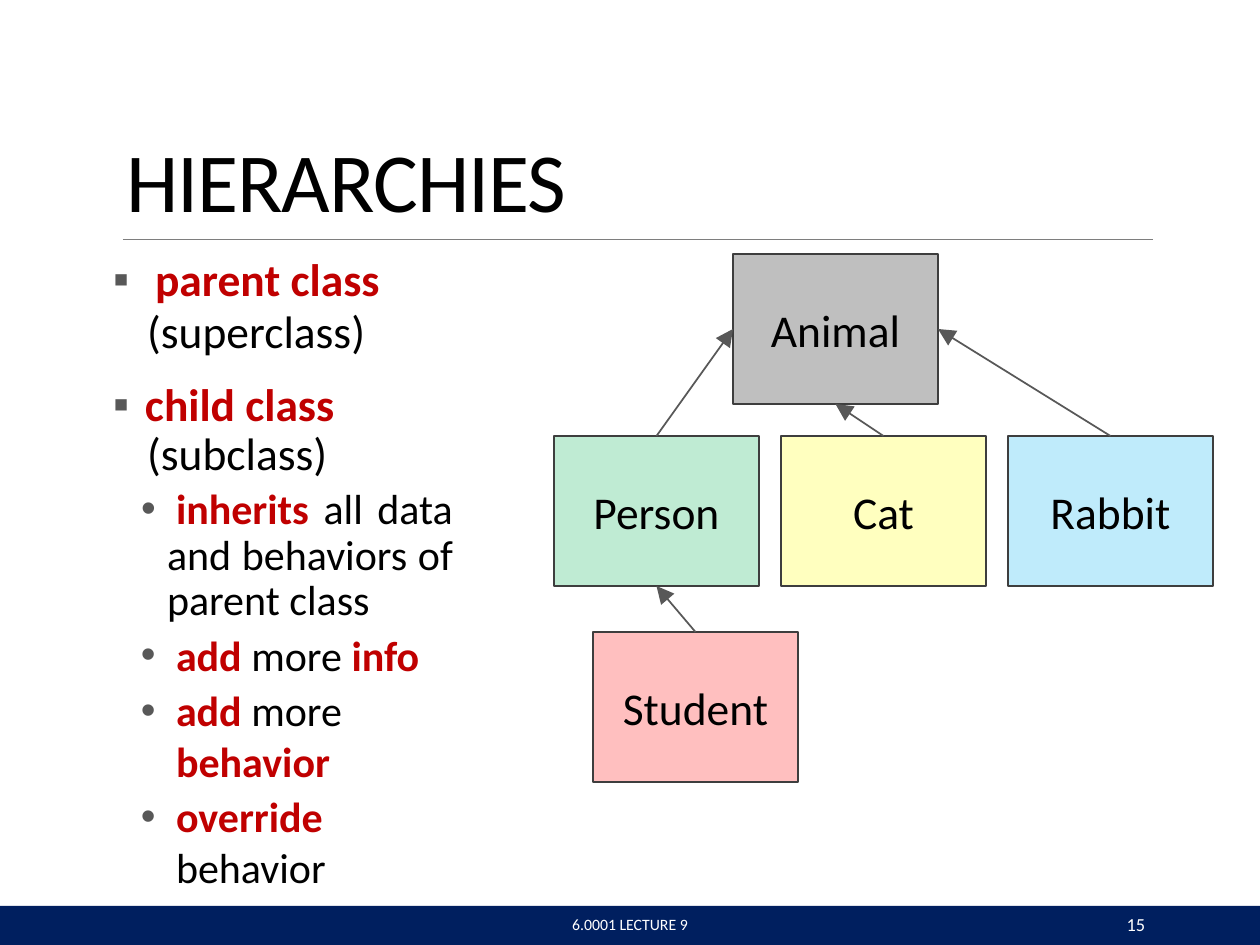
from lxml.etree import SubElement
from pptx import Presentation
from pptx.dml.color import RGBColor
from pptx.enum.shapes import MSO_CONNECTOR as CONNECTOR, MSO_SHAPE as SHAPE
from pptx.enum.text import MSO_ANCHOR as ANCHOR, MSO_AUTO_SIZE as AUTO_SIZE, PP_ALIGN as ALIGN
from pptx.oxml.ns import qn
from pptx.util import Emu, Pt

FONT = "Calibri"
BLACK, WHITE, RED, GREY = "000000", "FFFFFF", "C00000", "585858"
NAVY, RULE, OUTLINE = "001F5F", "7E7E7E", "3E3E3E"

# Paragraph formats: size and spacing in points, indents in px
MAIN = dict(size=26, level=0, bullet="▪", color=RED)
SUB = dict(size=24, level=1, bullet="•", left=64, hang=35, before=3)
PLAIN = dict(size=26, level=0, left=35, hang=0)
BODY = [
    ("*parent class*", dict(MAIN, left=43, hang=42, line=29.6)),
    ("(superclass)", dict(PLAIN, line=29.6)),
    ("*child class*", dict(MAIN, left=33, hang=32, before=10.8)),
    ("(subclass)", dict(PLAIN, line=28)),
    ("\t*inherits* all data and behaviors of parent class",
     dict(SUB, left=55, hang=26, tab=64, before=4.5, line=25.9, align=ALIGN.JUSTIFY)),
    ("*add* more *info*", SUB),
    ("*add* more *behavior*", SUB),
    ("*override* behavior", SUB),
]

# Class boxes: name -> left, top, fill
ROW_LEFT, ROW_TOP, PITCH = 0, 182, 227
CLASSES = {
    "Animal": (179, 0, "BFBFBF"),
    "Person": (ROW_LEFT, ROW_TOP, "BFEBD3"),
    "Cat": (ROW_LEFT + PITCH, ROW_TOP, "FFFFBF"),
    "Rabbit": (ROW_LEFT + 2 * PITCH, ROW_TOP, "BFEBFB"),
    "Student": (39, 378, "FFBFBF"),
}
TOP, LEFT, BOTTOM, RIGHT = range(4)  # connection sites of a rectangle
LINKS = [("Person", "Animal", LEFT), ("Cat", "Animal", BOTTOM),
         ("Rabbit", "Animal", RIGHT), ("Student", "Person", BOTTOM)]


def px(value):
    return Emu(round(value * 914400 / 126))


def rgb(value):
    return RGBColor.from_string(value)


def place(shape, box):
    for name, value in zip(("left", "top", "width", "height"), box):
        setattr(shape, name, px(value))


def set_frame(shape, anchor, wrap=True):
    values = dict(margin_left=0, margin_top=0, margin_right=0, margin_bottom=0,
                  word_wrap=wrap, auto_size=AUTO_SIZE.NONE, vertical_anchor=anchor)
    for name, value in values.items():
        setattr(shape.text_frame, name, value)
    return shape.text_frame


def add_run(paragraph, text, size, color=BLACK, bold=False):
    run = paragraph.add_run()
    run.text = text
    for name, value in dict(name=FONT, size=Pt(size), bold=bold).items():
        setattr(run.font, name, value)
    run.font.color.rgb = rgb(color)
    return run


def add_line(slide, width, color, begin=(0, 0), end=(0, 0)):
    line = slide.shapes.add_connector(CONNECTOR.STRAIGHT, *map(px, begin + end))
    line.line.width = Pt(width)
    line.line.color.rgb = rgb(color)
    SubElement(line._element.spPr, qn("a:effectLst"))
    return line


def add_box(slide, box, fill):
    shape = slide.shapes.add_shape(SHAPE.RECTANGLE, *map(px, box))
    shape.shadow.inherit = False
    shape.fill.solid()
    shape.fill.fore_color.rgb = rgb(fill)
    return shape


def add_title(slide, box):
    left, top, width, height = box
    title = slide.shapes.title
    place(title, box)
    paragraph = set_frame(title, ANCHOR.TOP).paragraphs[0]
    paragraph.alignment = ALIGN.LEFT
    run = add_run(paragraph, "HIERARCHIES", 48)
    run._r.get_or_add_rPr().set("spc", "-60")
    # Rule under the title
    rule_y = top + height
    add_line(slide, 0.5, RULE, (left - 3, rule_y), (left + width + 11, rule_y))


def set_bullet(paragraph, style):
    properties = paragraph._p.get_or_add_pPr()
    properties.set("marL", str(px(style["left"])))
    properties.set("indent", str(px(-style["hang"])))
    if "bullet" in style:
        color = SubElement(properties, qn("a:buClr"))
        SubElement(color, qn("a:srgbClr"), val=GREY)
        SubElement(properties, qn("a:buChar"), char=style["bullet"])
    else:
        SubElement(properties, qn("a:buNone"))
    if "tab" in style:
        tabs = SubElement(properties, qn("a:tabLst"))
        SubElement(tabs, qn("a:tab"), pos=str(px(style["tab"])), algn="l")


def add_body(slide, box):
    body = slide.placeholders[1]
    place(body, box)
    frame = set_frame(body, ANCHOR.TOP)
    for index, (text, style) in enumerate(BODY):
        paragraph = frame.add_paragraph() if index else frame.paragraphs[0]
        set_bullet(paragraph, style)
        line = style.get("line")
        values = dict(level=style["level"], alignment=style.get("align", ALIGN.LEFT),
                      space_before=Pt(style.get("before", 0)),
                      line_spacing=Pt(line) if line else 1.0)
        for name, value in values.items():
            setattr(paragraph, name, value)
        # Text between asterisks is bold red
        for part, piece in enumerate(text.split("*")):
            if piece:
                strong = part % 2 == 1
                add_run(paragraph, piece, style["size"], RED if strong else BLACK, strong)


def add_hierarchy(slide, box):
    left, top, width, height = box
    shapes = {}
    for name, (x, y, fill) in CLASSES.items():
        shape = add_box(slide, (left + x, top + y, width, height), fill)
        shape.line.width = Pt(1.25)
        shape.line.color.rgb = rgb(OUTLINE)
        paragraph = set_frame(shape, ANCHOR.MIDDLE).paragraphs[0]
        paragraph.alignment = ALIGN.CENTER
        add_run(paragraph, name, 26)
        shapes[name] = shape
    # Arrows from child to parent
    for child, parent, site in LINKS:
        arrow = add_line(slide, 1, GREY)
        arrow.begin_connect(shapes[child], TOP)
        arrow.end_connect(shapes[parent], site)
        SubElement(arrow.line._get_or_add_ln(), qn("a:tailEnd"),
                   type="triangle", w="lg", len="lg")


def add_footer(slide, box):
    left, top, width, height = box
    add_box(slide, box, NAVY).line.fill.background()
    labels = [("6.0001 LECTURE 9", 9, left + 560, 140), ("15", 10.5, left + 1122, 28)]
    for text, size, x, label_width in labels:
        label = slide.shapes.add_textbox(*map(px, (x, top, label_width, height - 2)))
        paragraph = set_frame(label, ANCHOR.MIDDLE).paragraphs[0]
        paragraph.alignment = ALIGN.CENTER
        add_run(paragraph, text, size, WHITE)


def main():
    presentation = Presentation()
    presentation.slide_width, presentation.slide_height = px(1260), px(945)
    slide = presentation.slides.add_slide(presentation.slide_layouts[1])
    add_footer(slide, (0, 906, 1260, 39))
    add_title(slide, (126, 129, 1016, 110))
    add_body(slide, (112, 254, 341, 640))
    add_hierarchy(slide, (554, 254, 205, 150))
    presentation.save("out.pptx")


if __name__ == "__main__":
    main()
